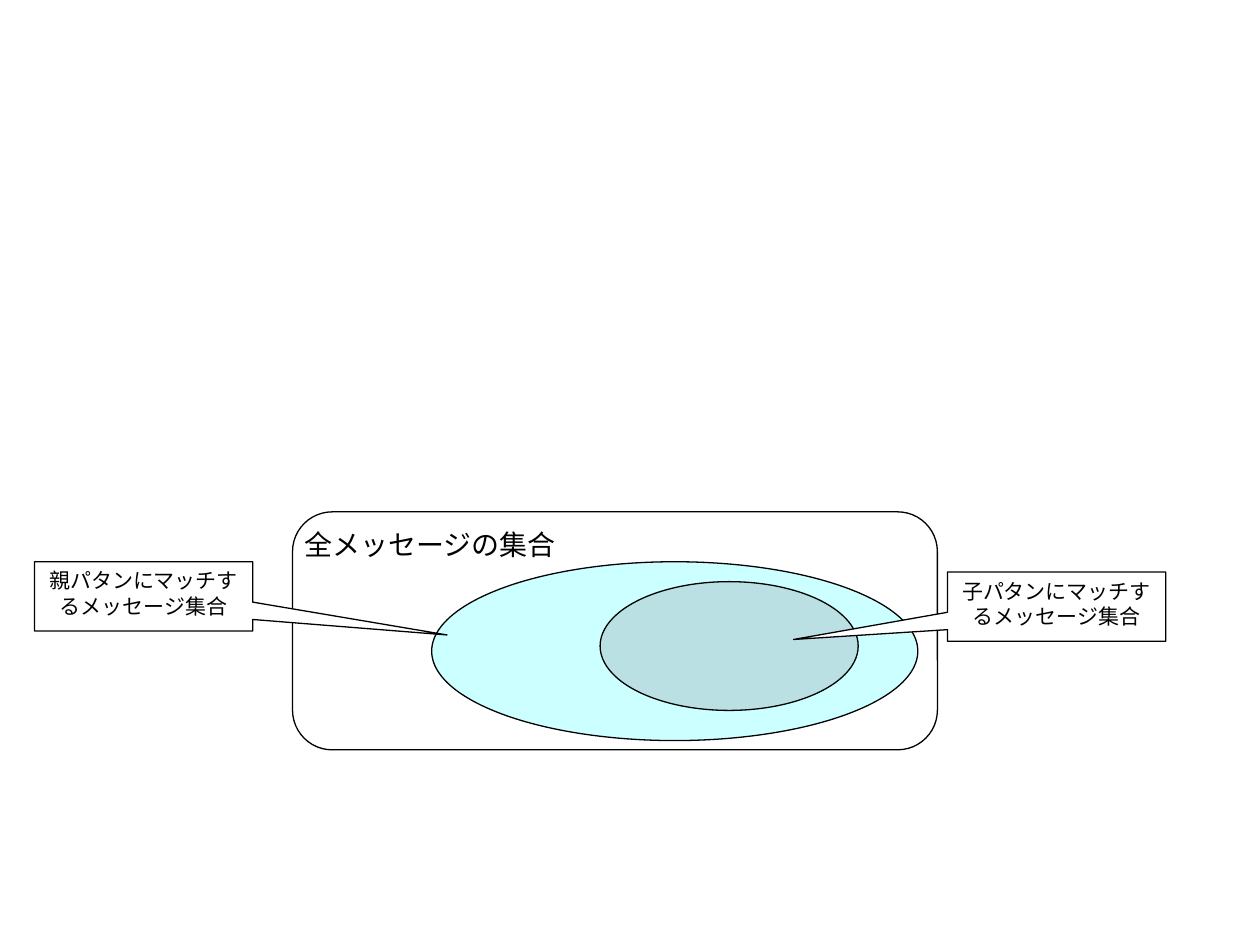
from dataclasses import dataclass

import pptx
import pptx.dml.color
import pptx.enum.shapes
import pptx.enum.text
import pptx.util

Pt = pptx.util.Pt
RGBColor = pptx.dml.color.RGBColor
Shape = pptx.enum.shapes.MSO_SHAPE
Align = pptx.enum.text.PP_ALIGN

BLACK = RGBColor(0x00, 0x00, 0x00)
WHITE = RGBColor(0xFF, 0xFF, 0xFF)
PALE_CYAN = RGBColor(0xCC, 0xFF, 0xFF)
GREY_TEAL = RGBColor(0xBB, 0xE0, 0xE3)
FONT = "Arial"


@dataclass(frozen=True)
class Region:
    """An outlined shape, with lengths in points."""
    kind: Shape
    left: float
    top: float
    width: float
    height: float
    fill: RGBColor
    adjustments: tuple[float, ...] = ()
    label: str = ""


SETS = (
    Region(Shape.ROUNDED_RECTANGLE, 167.2, 292.5, 368.5, 136, WHITE, (0.167,)),
    Region(Shape.OVAL, 246.7, 321, 277.8, 102.2, PALE_CYAN),
    Region(Shape.OVAL, 342.9, 332.4, 147.5, 73.6, GREY_TEAL),
)


def callout(left: float, top: float, tip: tuple[float, float], label: str) -> Region:
    """Describe a callout whose tip is offset in fractions of its size."""
    return Region(Shape.RECTANGULAR_CALLOUT, left, top, 124.7, 39.6, WHITE, tip, label)


CALLOUTS = (
    callout(541.4, 326.8, (-1.205, 0.475), "子パタンにマッチするメッセージ集合"),
    callout(19.7, 321, (1.391, 0.557), "親パタンにマッチするメッセージ集合"),
)


def write_text(frame, text: str, size: float, alignment: Align, wrap: bool) -> None:
    frame.word_wrap = wrap
    frame.vertical_anchor = pptx.enum.text.MSO_ANCHOR.TOP
    paragraph = frame.paragraphs[0]
    paragraph.text = text
    paragraph.alignment = alignment
    paragraph.font.name = FONT
    paragraph.font.size = Pt(size)
    paragraph.font.color.rgb = BLACK


def draw_region(page, region: Region) -> None:
    shape = page.shapes.add_shape(
        region.kind, Pt(region.left), Pt(region.top), Pt(region.width), Pt(region.height)
    )
    shape.shadow.inherit = False
    shape.fill.solid()
    shape.fill.fore_color.rgb = region.fill
    shape.line.color.rgb = BLACK
    shape.line.width = Pt(0.75)
    for index, value in enumerate(region.adjustments):
        shape.adjustments[index] = value
    if region.label:
        write_text(shape.text_frame, region.label, 12, Align.CENTER, wrap=True)


def main() -> None:
    deck = pptx.Presentation()
    deck.slide_width, deck.slide_height = Pt(720), Pt(540)
    page = deck.slides.add_slide(deck.slide_layouts[6])

    # Nested sets of messages
    for region in SETS:
        draw_region(page, region)

    # Title of the outer set
    box = page.shapes.add_textbox(Pt(167.2), Pt(298), Pt(157.7), Pt(26.6))
    write_text(box.text_frame, "全メッセージの集合", 16, Align.LEFT, wrap=False)

    # Callouts naming the inner sets
    for region in CALLOUTS:
        draw_region(page, region)

    deck.save("out.pptx")


if __name__ == "__main__":
    main()
